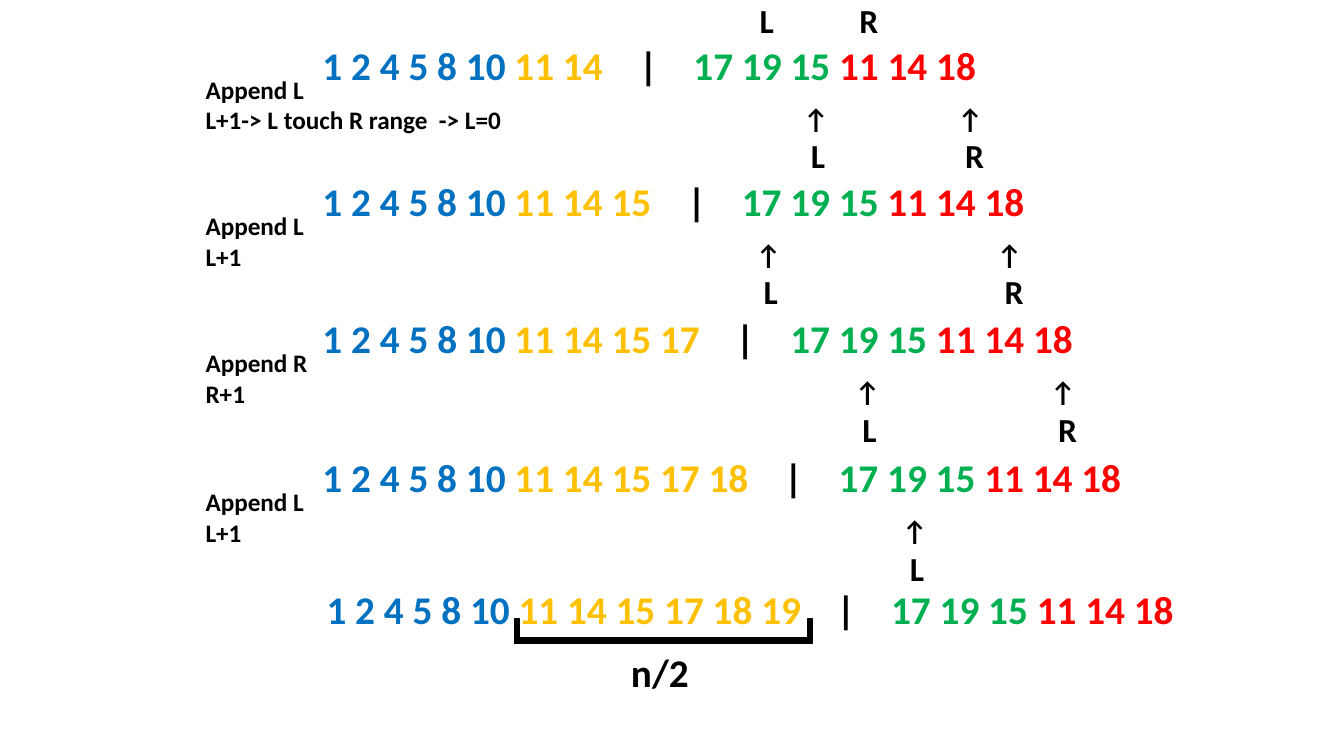
import pptx
import pptx.util
import pptx.dml.color
import pptx.enum.shapes
import pptx.enum.text
from lxml import etree

COLUMNS, ROWS = 13.33, 7.5
DIGIT_STEP = 0.48
BAR_BASE = 2.18
BAR_GAP = 0.54
SORTED_NUMBERS = "1 2 4 5 8 10 "
BLACK, BLUE, YELLOW, GREEN, RED = "000000", "0070C0", "FFC000", "00B050", "FF0000"

STEPS = [
    (3.1, 0.36, "11 14", ["Append L", "L+1-> L touch R range  -> L=0"], 3.22,
     [("L", 7.87), ("R", 9.4)]),
    (3.1, 1.71, "11 14 15", ["Append L", "L+1"], 1.19, [("L", 7.4), ("R", 9.79)]),
    (3.1, 3.07, "11 14 15 17", ["Append R", "R+1"], 1.22, [("L", 8.38), ("R", 10.32)]),
    (3.1, 4.45, "11 14 15 17 18", ["Append L", "L+1"], 1.19, [("L", 8.85)]),
    (3.14, 5.76, "11 14 15 17 18 19", [], 0, []),
]


def color(value):
    """Turn a hex string into a colour."""
    return pptx.dml.color.RGBColor.from_string(value)


def grid(*cells):
    """Turn grid columns and rows of one inch into slide lengths."""
    return [pptx.util.Inches(cell) for cell in cells]


def add_text(page, place, paragraphs, wrap=False, **margins):
    """Place a text box whose paragraphs are lists of (text, size, colour)."""
    box = page.shapes.add_textbox(*grid(*place))
    frame = box.text_frame
    layout = {"word_wrap": wrap, "auto_size": pptx.enum.text.MSO_AUTO_SIZE.SHAPE_TO_FIT_TEXT}
    for name, value in {**layout, **margins}.items():
        setattr(frame, name, value)
    for index, spans in enumerate(paragraphs):
        para = frame.add_paragraph() if index else frame.paragraphs[0]
        for text, size, shade in spans:
            span = para.add_run()
            span.text = text
            style = {"name": "Calibri", "size": pptx.util.Pt(size), "bold": True}
            for name, value in style.items():
                setattr(span.font, name, value)
            span.font.color.rgb = color(shade)
    return box


def add_tab_stops(para, stops):
    """Set left tab stops on a paragraph."""
    space = "{http://schemas.openxmlformats.org/drawingml/2006/main}"
    tabs = etree.SubElement(para._p.get_or_add_pPr(), space + "tabLst")
    for stop in grid(*stops):
        etree.SubElement(tabs, space + "tab", pos=str(stop), algn="l")


def add_numbers(page, left, top, merged):
    """Write the array row, with the bar and right half following the merged part."""
    count = len(merged.split())
    spans = [(SORTED_NUMBERS, BLUE), (merged, YELLOW), ("\t|\t", BLACK),
             ("17 19 15", GREEN), (" 11 14 18", RED)]
    place = (left, top, 6.0 + DIGIT_STEP * count, 0.57)
    box = add_text(page, place, [[(text, 28, shade) for text, shade in spans]], wrap=True)
    bar = BAR_BASE + DIGIT_STEP * count
    add_tab_stops(box.text_frame.paragraphs[0], [bar, bar + BAR_GAP])


def add_step(page, left, top, merged, notes, note_width, pointers):
    """Draw one merge step: its numbers, its notes and its pointers."""
    add_numbers(page, left, top, merged)
    if notes:
        add_text(page, (1.94, top + 0.33, note_width, 0.71),
                 [[(note, 18, BLACK)] for note in notes])
    for label, column in pointers:
        add_text(page, (column, top + 0.6, 0.47, 0.84),
                 [[("↑", 20, BLACK)], [(" " + label, 24, BLACK)]])


def add_start_labels(page, top):
    """Label the first L and R positions."""
    for label, column in [("L", 7.36), ("R", 8.35)]:
        add_text(page, (column, top, 0.47, 0.4), [[(" " + label, 24, BLACK)]],
                 margin_top=0, margin_bottom=0)


def add_bracket(page, left, top, width, height):
    """Draw the bracket under the merged half and its caption."""
    thick = 0.05
    bars = [(left, top + height - thick, width, thick),
            (left, top, thick, height),
            (left + width, top, thick, height)]
    for place in bars:
        bar = page.shapes.add_shape(pptx.enum.shapes.MSO_SHAPE.RECTANGLE, *grid(*place))
        bar.shadow.inherit = False
        bar.fill.solid()
        bar.fill.fore_color.rgb = color(BLACK)
        bar.line.color.rgb = color(BLACK)
        bar.line.width = pptx.util.Pt(1)
    add_text(page, (left + 1.06, top + height, 0.78, 0.57), [[("n/2", 28, BLACK)]])


def main():
    """Build the merge-steps slide."""
    deck = pptx.Presentation()
    deck.slide_width, deck.slide_height = grid(COLUMNS, ROWS)
    page = deck.slides.add_slide(deck.slide_layouts[6])
    add_start_labels(page, 0)
    for step in STEPS:
        add_step(page, *step)
    add_bracket(page, 5.1, 6.14, 2.91, 0.24)
    deck.save("out.pptx")


if __name__ == "__main__":
    main()
